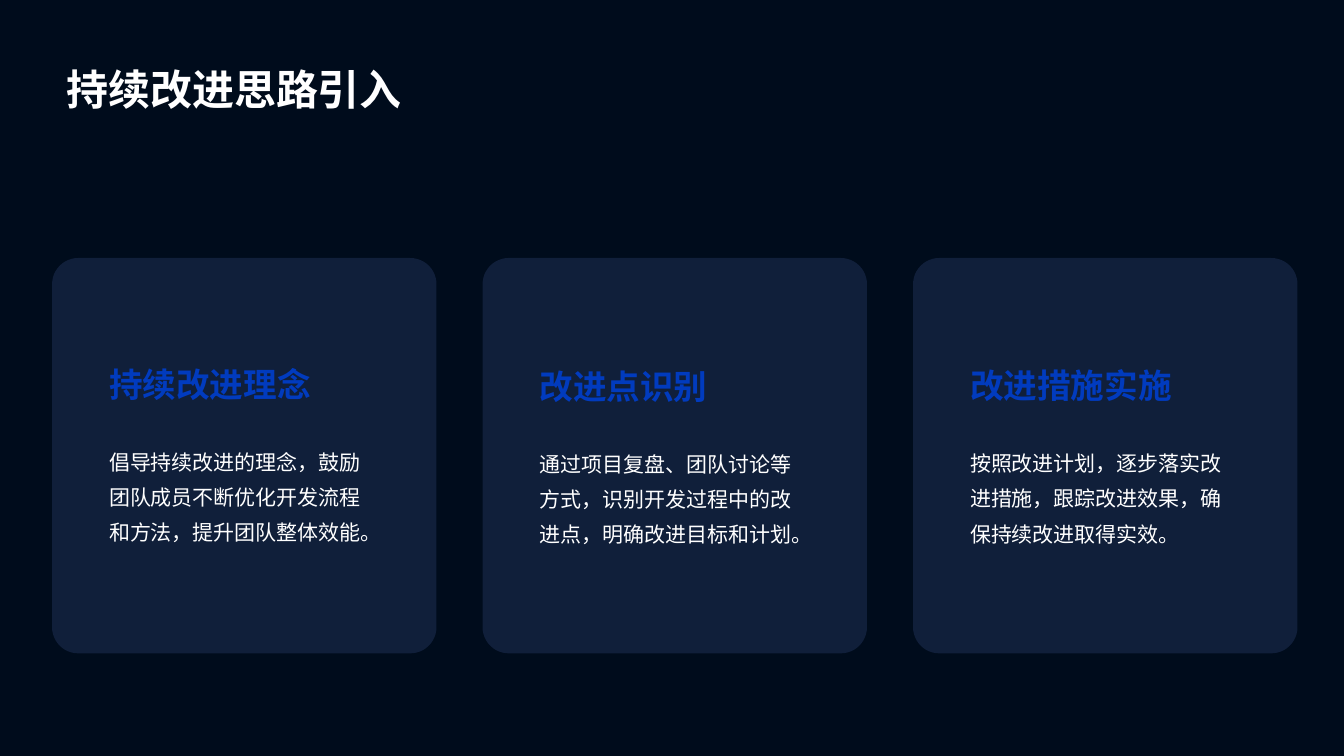
import lxml.etree
import pptx
import pptx.dml.color
import pptx.enum.shapes
import pptx.enum.text
import pptx.oxml.ns
import pptx.util

Pt = pptx.util.Pt
Anchor = pptx.enum.text.MSO_ANCHOR
AutoSize = pptx.enum.text.MSO_AUTO_SIZE
qn = pptx.oxml.ns.qn

CARDS = [
    ("持续改进理念", "倡导持续改进的理念，鼓励团队成员不断优化开发流程和方法，提升团队整体效能。", 250.7, 309.5),
    ("改进点识别", "通过项目复盘、团队讨论等方式，识别开发过程中的改进点，明确改进目标和计划。", 252, 310.7),
    ("改进措施实施", "按照改进计划，逐步落实改进措施，跟踪改进效果，确保持续改进取得实效。", 251.5, 310.3),
]
CARD_LEFT, CARD_TOP, CARD_WIDTH, CARD_HEIGHT = 37.2, 184.3, 274.6, 282.4
CARD_STEP = 307.5
TEXT_INDENT, TEXT_WIDTH = 32.2, 210


class ImprovementSlide:
    font_name = "Noto Sans CJK SC"
    colors = {
        "background": "000C1C",
        "card": "152442",
        "heading": "013BBE",
        "text": "FFFFFF",
    }

    def __init__(self, presentation):
        self.slide = presentation.slides.add_slide(presentation.slide_layouts[5])
        self.paint(self.slide.background.fill, "background")

    def color(self, key):
        return pptx.dml.color.RGBColor.from_string(self.colors[key])

    def paint(self, fill, key):
        fill.solid()
        fill.fore_color.rgb = self.color(key)

    def set_text(self, frame, text, size, key, bold, spacing, insets, anchor):
        frame.word_wrap = True
        frame.vertical_anchor = anchor
        frame.margin_left, frame.margin_top, frame.margin_right, frame.margin_bottom = map(Pt, insets)
        frame.text = text
        paragraph = frame.paragraphs[0]
        paragraph.alignment = pptx.enum.text.PP_ALIGN.LEFT
        paragraph.line_spacing = spacing
        paragraph.space_before = Pt(0)
        font = paragraph.font
        font.size = Pt(size)
        font.bold = bold
        font.color.rgb = self.color(key)
        font.name = self.font_name
        defaults = paragraph._p.pPr.find(qn("a:defRPr"))
        lxml.etree.SubElement(defaults, qn("a:ea"), typeface=self.font_name)

    def title(self, text, left, top, width, height):
        title = self.slide.shapes.title
        title.left, title.top, title.width, title.height = map(Pt, (left, top, width, height))
        self.set_text(title.text_frame, text, 30, "text", True, 1.4, (10, 10, 4, 10), Anchor.TOP)
        title.text_frame.auto_size = AutoSize.SHAPE_TO_FIT_TEXT

    def card(self, left, top, width, height):
        card = self.slide.shapes.add_shape(
            pptx.enum.shapes.MSO_SHAPE.ROUNDED_RECTANGLE, *map(Pt, (left, top, width, height))
        )
        card.adjustments[0] = 0.068
        card.shadow.inherit = False
        card.line.fill.background()
        self.paint(card.fill, "card")
        shade = card._element.spPr.find(qn("a:solidFill"))[0]
        lxml.etree.SubElement(shade, qn("a:alpha"), val="80000")

    def text(self, text, left, top, width, height, size, key, bold, spacing, anchor):
        box = self.slide.shapes.add_textbox(*map(Pt, (left, top, width, height)))
        self.set_text(box.text_frame, text, size, key, bold, spacing, (8.5, 4.25, 8.5, 4.25), anchor)


def main():
    presentation = pptx.Presentation()
    presentation.slide_width = Pt(960)
    presentation.slide_height = Pt(540)
    page = ImprovementSlide(presentation)
    page.title("持续改进思路引入", 37.2, 21, 885, 72)
    for index, (heading, detail, heading_top, detail_top) in enumerate(CARDS):
        left = CARD_LEFT + index * CARD_STEP
        text_left = left + TEXT_INDENT
        page.card(left, CARD_TOP, CARD_WIDTH, CARD_HEIGHT)
        page.text(heading, text_left, heading_top, TEXT_WIDTH, 42, 24, "heading", True, 1.2, Anchor.MIDDLE)
        page.text(detail, text_left, detail_top, TEXT_WIDTH, 114.5, 15, "text", False, 1.4, Anchor.TOP)
    presentation.save("out.pptx")


if __name__ == "__main__":
    main()
